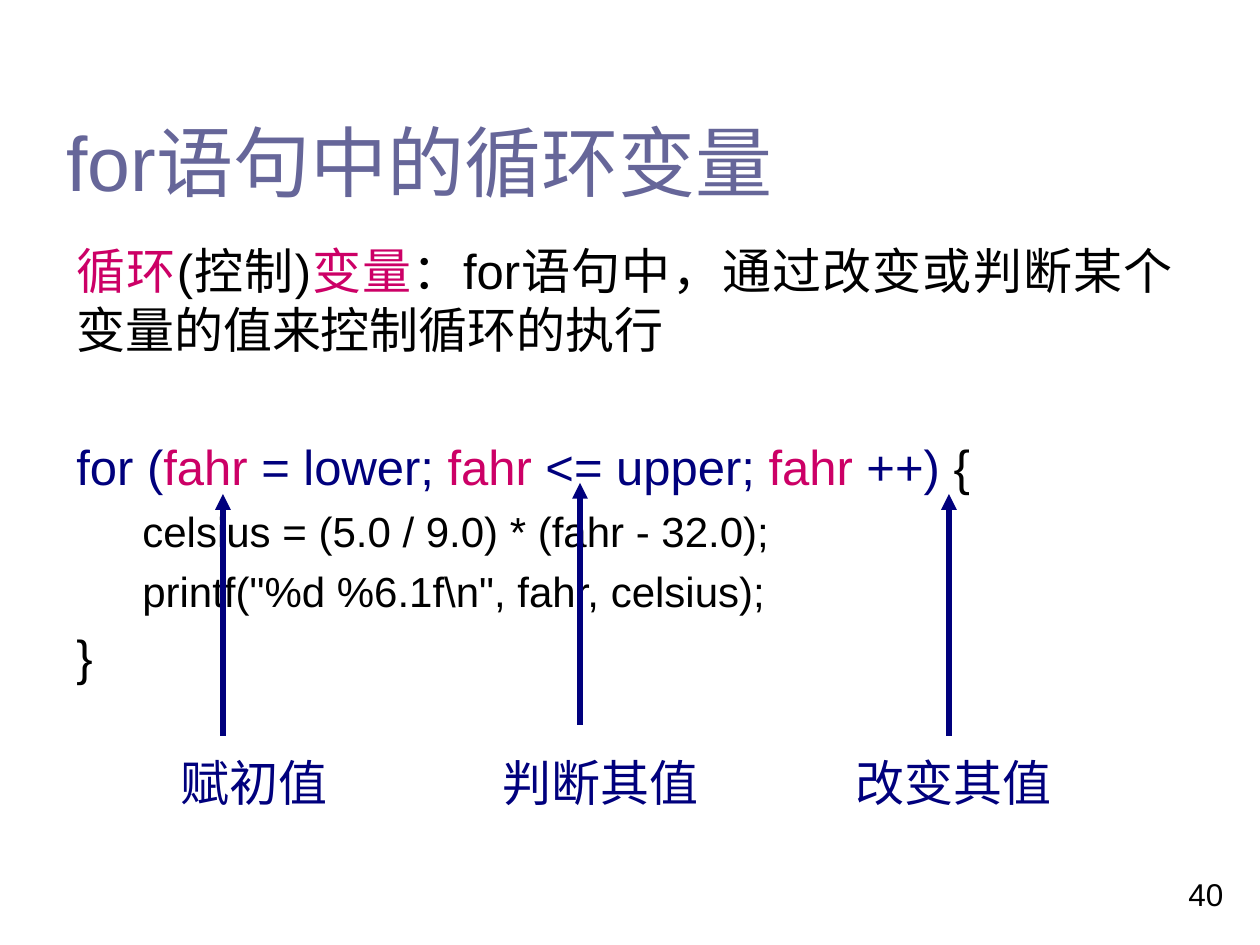
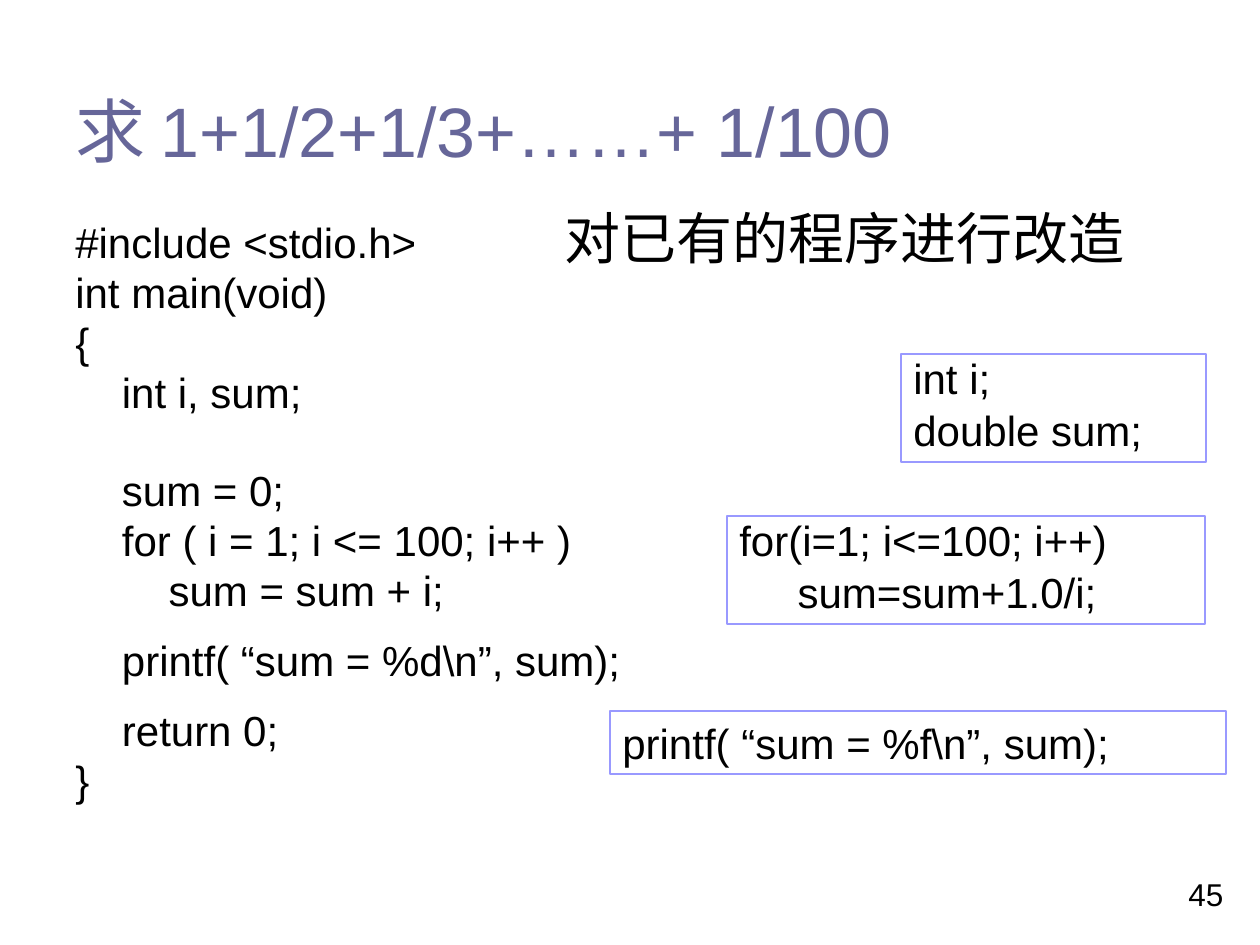
import lxml.etree
import pptx
import pptx.dml.color
import pptx.enum.shapes
import pptx.enum.text
import pptx.oxml.ns
import pptx.util

PX_PER_INCH = 126
SLATE, NAVY, PINK, LILAC, BLACK = "666699", "00007D", "CC0066", "9999FF", "000000"
JUSTIFY = pptx.enum.text.PP_ALIGN.JUSTIFY
BOTTOM = pptx.enum.text.MSO_ANCHOR.BOTTOM
TOP = pptx.enum.text.MSO_ANCHOR.TOP


def px(length):
    return pptx.util.Emu(round(length * 914400 / PX_PER_INCH))


def color(hex_value):
    return pptx.dml.color.RGBColor.from_string(hex_value)


def set_all(target, values):
    for name, value in values.items():
        setattr(target, name, value)


def write(frame, paras, size, font="Arial", ink=BLACK):
    """Fill a frame from (spans, paragraph format) pairs; a span is (text, ink)."""
    for index, (spans, form) in enumerate(paras):
        para = frame.paragraphs[0] if index == 0 else frame.add_paragraph()
        form = dict(form)
        margin = form.pop("margin", 0)
        para_size = form.pop("size", size)
        if margin:
            para._p.get_or_add_pPr().set("marL", str(px(margin)))
        if index == 0:
            form.pop("space_before", None)
        set_all(para, form)
        if isinstance(spans, str):
            spans = [(spans, ink)]
        for text, span_ink in spans:
            span = para.add_run()
            span.text = text
            set_all(span.font, {"name": font, "size": pptx.util.Pt(para_size)})
            span.font.color.rgb = color(span_ink)


def add_text(page, box, paras, size, anchor=TOP, wrap=True, **style):
    shape = page.shapes.add_textbox(*map(px, box))
    set_all(shape.text_frame, {"word_wrap": wrap, "vertical_anchor": anchor})
    write(shape.text_frame, paras, size, **style)


def add_page(deck, title, title_box, title_size, number):
    """Add a blank page with the shared title style and page number."""
    page = deck.slides.add_slide(deck.slide_layouts[6])
    add_text(page, (1176, 869, 69, 50), [(number, {})], 18)
    add_text(page, title_box, [(title, {})], title_size, BOTTOM, ink=SLATE)
    return page


def add_arrow(page, x, bottom, top):
    arrow = page.shapes.add_connector(
        pptx.enum.shapes.MSO_CONNECTOR.STRAIGHT, *map(px, (x, bottom, x, top)))
    arrow.line.color.rgb = color(NAVY)
    arrow.line.width = pptx.util.Pt(3)
    qn = pptx.oxml.ns.qn
    lxml.etree.SubElement(arrow.line._get_or_add_ln(), qn("a:tailEnd"), type="triangle")
    lxml.etree.SubElement(arrow._element.spPr, qn("a:effectLst"))


def add_loop_text(page, box):
    code_line = {"size": 24, "margin": 66, "space_before": pptx.util.Pt(5.5)}
    paras = [
        ([("循环", PINK), ("(控制)", BLACK), ("变量", PINK),
          ("：for语句中，通过改变或判断某个变量的值来控制循环的执行", BLACK)], {}),
        ([("for (", NAVY), ("fahr ", PINK), ("= lower; ", NAVY), ("fahr ", PINK),
          ("<= upper; ", NAVY), ("fahr ", PINK), ("++)", NAVY), (" {", BLACK)],
         {"space_before": pptx.util.Pt(45)}),
        ("celsius = (5.0 / 9.0) * (fahr - 32.0);", code_line),
        ('printf("%d %6.1f\\n", fahr, celsius);', code_line),
        ("}", {"space_before": pptx.util.Pt(6.4)}),
    ]
    add_text(page, box, [(spans, {"alignment": JUSTIFY, **form}) for spans, form in paras], 28)


def add_step_labels(page, box):
    """Place each label below an arrow that points up at its part of the loop."""
    left, top, _, height = box
    arrow_length, label_height = 242, 72
    steps = [  # label, label x, label width, arrow x, arrow y
        ("赋初值", 0, 173, 55, 11),
        ("判断其值", 322, 222, 412, 0),
        ("改变其值", 675, 222, 781, 11),
    ]
    for label, label_x, label_width, arrow_x, arrow_y in steps:
        label_box = (left + label_x, top + height - label_height, label_width, label_height)
        add_text(page, label_box, [(label, {})], 28, wrap=False,
                 font="Times New Roman", ink=NAVY)
        tip = top + arrow_y
        add_arrow(page, left + arrow_x, tip + arrow_length, tip)


def add_program(page, box):
    line_gap, blank_line_gap = 5.5, 33.3
    lines = [  # code, line spacing, space before
        ("#include <stdio.h>", 1.0, 0),
        ("int main(void)", 0.8, line_gap),
        ("{", 0.8, line_gap),
        ("    int i, sum;", 0.8, line_gap),
        ("    sum = 0;", 0.8, blank_line_gap),
        ("    for ( i = 1; i <= 100; i++ )", 0.8, line_gap),
        ("        sum = sum + i;", 0.8, line_gap),
        ("    printf( “sum = %d\\n”, sum);", 1.2, line_gap),
        ("    return 0;", 1.2, line_gap),
        ("}", 0.8, line_gap),
    ]
    add_text(page, box, [
        (code, {"alignment": JUSTIFY, "line_spacing": spacing,
                "space_before": pptx.util.Pt(gap)})
        for code, spacing, gap in lines], 24)


def add_code_box(page, box, lines):
    shape = page.shapes.add_shape(pptx.enum.shapes.MSO_SHAPE.RECTANGLE, *map(px, box))
    shape.shadow.inherit = False
    shape.fill.background()
    shape.line.color.rgb = color(LILAC)
    shape.line.width = pptx.util.Pt(1)
    set_all(shape.text_frame, {"word_wrap": True, "vertical_anchor": TOP})
    form = {"alignment": pptx.enum.text.PP_ALIGN.LEFT}
    if len(lines) > 1:
        form.update(line_spacing=0.84, space_before=pptx.util.Pt(5.5))
    write(shape.text_frame, [(line, form) for line in lines], 24)


def build_loop_variable_page(deck):
    page = add_page(deck, "for语句中的循环变量", (54, 86, 1134, 127), 44, "40")
    add_loop_text(page, (64, 234, 1121, 447))
    add_step_labels(page, (168, 483, 897, 335))


def build_series_page(deck):
    page = add_page(deck, "求 1+1/2+1/3+……+ 1/100", (63, 76, 1134, 102), 40, "45")
    add_program(page, (63, 210, 753, 620))
    add_code_box(page, (727, 516, 478, 108), ["for(i=1; i<=100; i++)", "     sum=sum+1.0/i;"])
    add_code_box(page, (901, 354, 305, 108), ["int i;", "double sum;"])
    add_code_box(page, (610, 711, 616, 63), ["printf( “sum = %f\\n”, sum);"])
    add_text(page, (552, 197, 587, 81), [("对已有的程序进行改造", {})], 32)


def main():
    deck = pptx.Presentation()
    set_all(deck, {"slide_width": px(1260), "slide_height": px(945)})
    build_loop_variable_page(deck)
    build_series_page(deck)
    deck.save("out.pptx")


if __name__ == "__main__":
    main()
